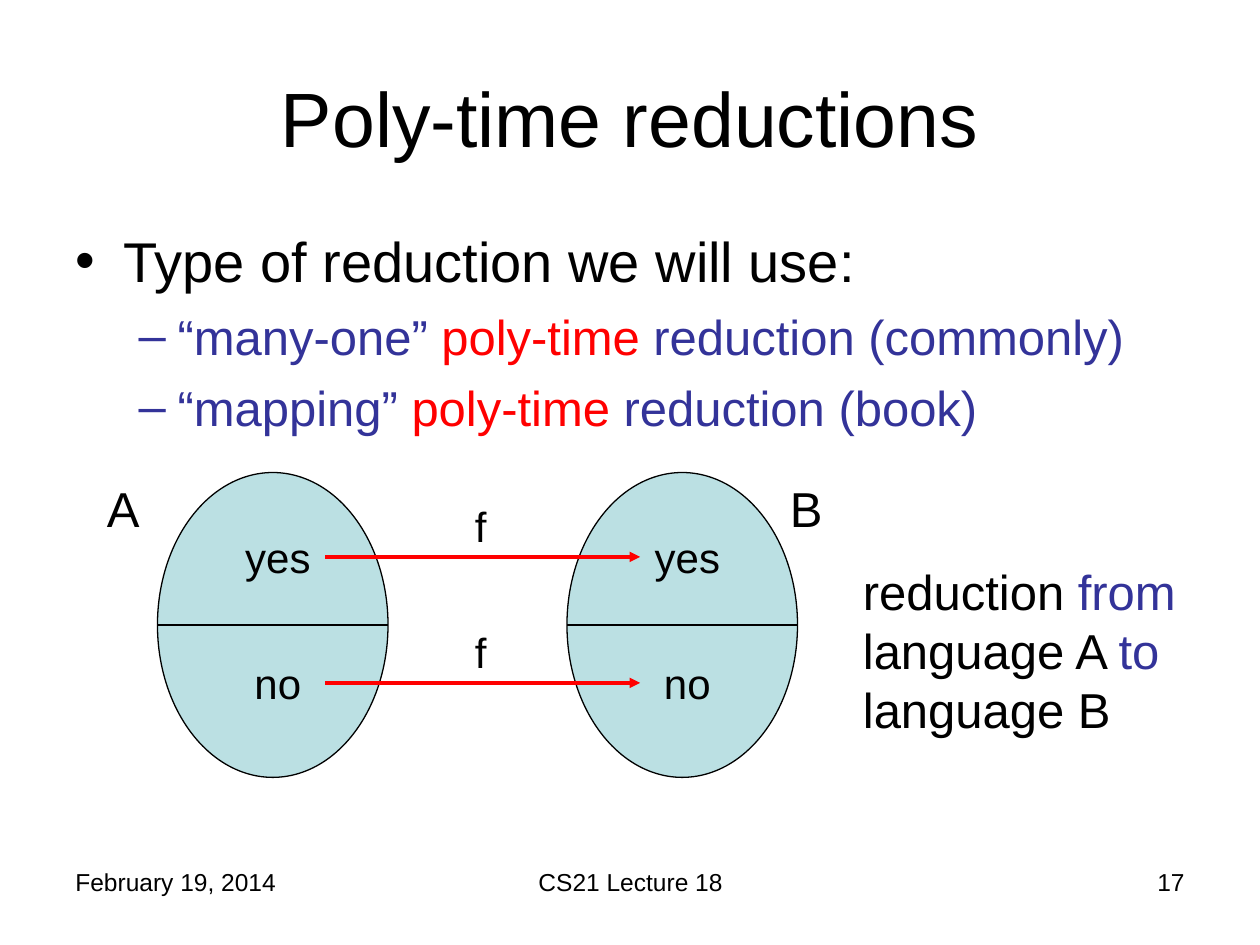
from typing import NamedTuple

from lxml.etree import SubElement
from pptx import Presentation
from pptx.dml.color import RGBColor
from pptx.enum.shapes import MSO_CONNECTOR, MSO_SHAPE
from pptx.enum.text import MSO_ANCHOR, MSO_AUTO_SIZE, PP_ALIGN
from pptx.oxml.ns import qn
from pptx.util import Inches, Pt

BLACK = RGBColor(0x00, 0x00, 0x00)
BLUE = RGBColor(0x33, 0x33, 0x99)
RED = RGBColor(0xFF, 0x00, 0x00)
PALE_TEAL = RGBColor(0xBB, 0xE0, 0xE3)
FONT = "Arial"

SET_TOP, SET_WIDTH, SET_HEIGHT = 3.75, 1.83, 2.42
DIVIDER_Y = 4.96
ANSWER_WIDTH, ANSWER_HEIGHT = 0.75, 0.5


class Span(NamedTuple):
    text: str
    color: RGBColor = BLACK


class Label(NamedTuple):
    spans: list[Span]
    left: float
    top: float
    width: float
    height: float
    size: int
    alignment: PP_ALIGN = PP_ALIGN.LEFT


class BulletStyle(NamedTuple):
    character: str
    level: int
    margin: float
    hanging: float
    size: int
    space_before: int
    color: RGBColor


class LanguageSet(NamedTuple):
    name: str
    left: float
    name_left: float
    answer_left: float


class Answer(NamedTuple):
    text: str
    top: float


MAIN_POINT = BulletStyle("•", 0, 0.38, 0.38, 32, 0, BLACK)
SUB_POINT = BulletStyle("–", 1, 0.81, 0.31, 28, 7, BLUE)

BULLETS = [
    (MAIN_POINT, [Span("Type of reduction we will use:")]),
    (SUB_POINT, [Span("“many-one” ", BLUE), Span("poly-time", RED),
                 Span(" reduction (commonly)", BLUE)]),
    (SUB_POINT, [Span("“mapping” ", BLUE), Span("poly-time ", RED),
                 Span("reduction (book)", BLUE)]),
]
LANGUAGES = [LanguageSet("A", 1.25, 0.75, 1.83), LanguageSet("B", 4.5, 6.17, 5.08)]
ANSWERS = [Answer("yes", 4.17), Answer("no", 5.17)]
FOOTERS = [
    Label([Span("February 19, 2014")], 0.5, 6.83, 2.33, 0.52, 14),
    Label([Span("CS21 Lecture 18")], 3.42, 6.83, 3.17, 0.52, 14, PP_ALIGN.CENTER),
    Label([Span("17")], 7.17, 6.83, 2.33, 0.52, 14, PP_ALIGN.RIGHT),
]
EXPLANATION = Label(
    [Span("reduction "), Span("from", BLUE), Span(" language A "),
     Span("to", BLUE), Span(" language B")],
    6.75, 4.41, 2.75, 1.5, 28,
)


def write_spans(paragraph, spans: list[Span], size: int) -> None:
    paragraph.font.name = FONT
    paragraph.font.size = Pt(size)
    for span in spans:
        run = paragraph.add_run()
        run.text = span.text
        run.font.color.rgb = span.color


def add_label(slide, label: Label) -> None:
    shape = slide.shapes.add_textbox(
        Inches(label.left), Inches(label.top), Inches(label.width), Inches(label.height))
    shape.text_frame.word_wrap = True
    paragraph = shape.text_frame.paragraphs[0]
    paragraph.alignment = label.alignment
    write_spans(paragraph, label.spans, label.size)


def add_line(slide, left: float, right: float, y: float, color: RGBColor,
             width: float, arrow: bool = False) -> None:
    connector = slide.shapes.add_connector(
        MSO_CONNECTOR.STRAIGHT, Inches(left), Inches(y), Inches(right), Inches(y))
    connector.line.color.rgb = color
    connector.line.width = Pt(width)
    properties = connector._element.spPr
    if arrow:
        SubElement(properties.find(qn("a:ln")), qn("a:tailEnd"), type="triangle")
    SubElement(properties, qn("a:effectLst"))


def place(shape, left: float, top: float, width: float, height: float) -> None:
    shape.left, shape.top = Inches(left), Inches(top)
    shape.width, shape.height = Inches(width), Inches(height)
    shape.text_frame.auto_size = MSO_AUTO_SIZE.NONE


def add_bullet(paragraph, style: BulletStyle, spans: list[Span]) -> None:
    paragraph.level = style.level
    properties = paragraph._p.get_or_add_pPr()
    properties.set("marL", str(Inches(style.margin)))
    properties.set("indent", str(-Inches(style.hanging)))
    bullet_color = SubElement(properties, qn("a:buClr"))
    SubElement(bullet_color, qn("a:srgbClr"), val=str(style.color))
    SubElement(properties, qn("a:buFont"), typeface=FONT)
    SubElement(properties, qn("a:buChar"), char=style.character)
    paragraph.space_before = Pt(style.space_before)
    write_spans(paragraph, spans, style.size)


def fill_placeholders(slide) -> None:
    title = slide.shapes.title
    place(title, 0.5, 0.3, 9, 1.25)
    title.text_frame.vertical_anchor = MSO_ANCHOR.MIDDLE
    heading = title.text_frame.paragraphs[0]
    heading.alignment = PP_ALIGN.CENTER
    write_spans(heading, [Span("Poly-time reductions")], 44)

    body = slide.placeholders[1]
    place(body, 0.5, 1.75, 9, 1.83)
    frame = body.text_frame
    for index, (style, spans) in enumerate(BULLETS):
        paragraph = frame.add_paragraph() if index else frame.paragraphs[0]
        add_bullet(paragraph, style, spans)


def add_language(slide, language: LanguageSet) -> None:
    ellipse = slide.shapes.add_shape(
        MSO_SHAPE.OVAL, Inches(language.left), Inches(SET_TOP),
        Inches(SET_WIDTH), Inches(SET_HEIGHT))
    ellipse.shadow.inherit = False
    ellipse.fill.solid()
    ellipse.fill.fore_color.rgb = PALE_TEAL
    ellipse.line.color.rgb = BLACK
    ellipse.line.width = Pt(0.75)
    add_line(slide, language.left, language.left + SET_WIDTH, DIVIDER_Y, BLACK, 0.75)
    for answer in ANSWERS:
        add_label(slide, Label([Span(answer.text)], language.answer_left, answer.top,
                               ANSWER_WIDTH, ANSWER_HEIGHT, 24, PP_ALIGN.CENTER))
    add_label(slide, Label([Span(language.name)], language.name_left, SET_TOP,
                           0.58, 0.57, 28))


def add_mapping(slide, answer: Answer) -> None:
    source, target = LANGUAGES
    add_line(slide, source.answer_left + ANSWER_WIDTH, target.answer_left,
             answer.top + ANSWER_HEIGHT / 2, RED, 2, arrow=True)
    add_label(slide, Label([Span("f")], 3.67, answer.top - 0.25, 0.58, 0.5, 24))


def main() -> None:
    presentation = Presentation()
    presentation.slide_width = Inches(10)
    presentation.slide_height = Inches(7.5)
    slide = presentation.slides.add_slide(presentation.slide_layouts[1])
    fill_placeholders(slide)
    for language in LANGUAGES:
        add_language(slide, language)
    for answer in ANSWERS:
        add_mapping(slide, answer)
    for label in [EXPLANATION, *FOOTERS]:
        add_label(slide, label)
    presentation.save("out.pptx")


if __name__ == "__main__":
    main()
